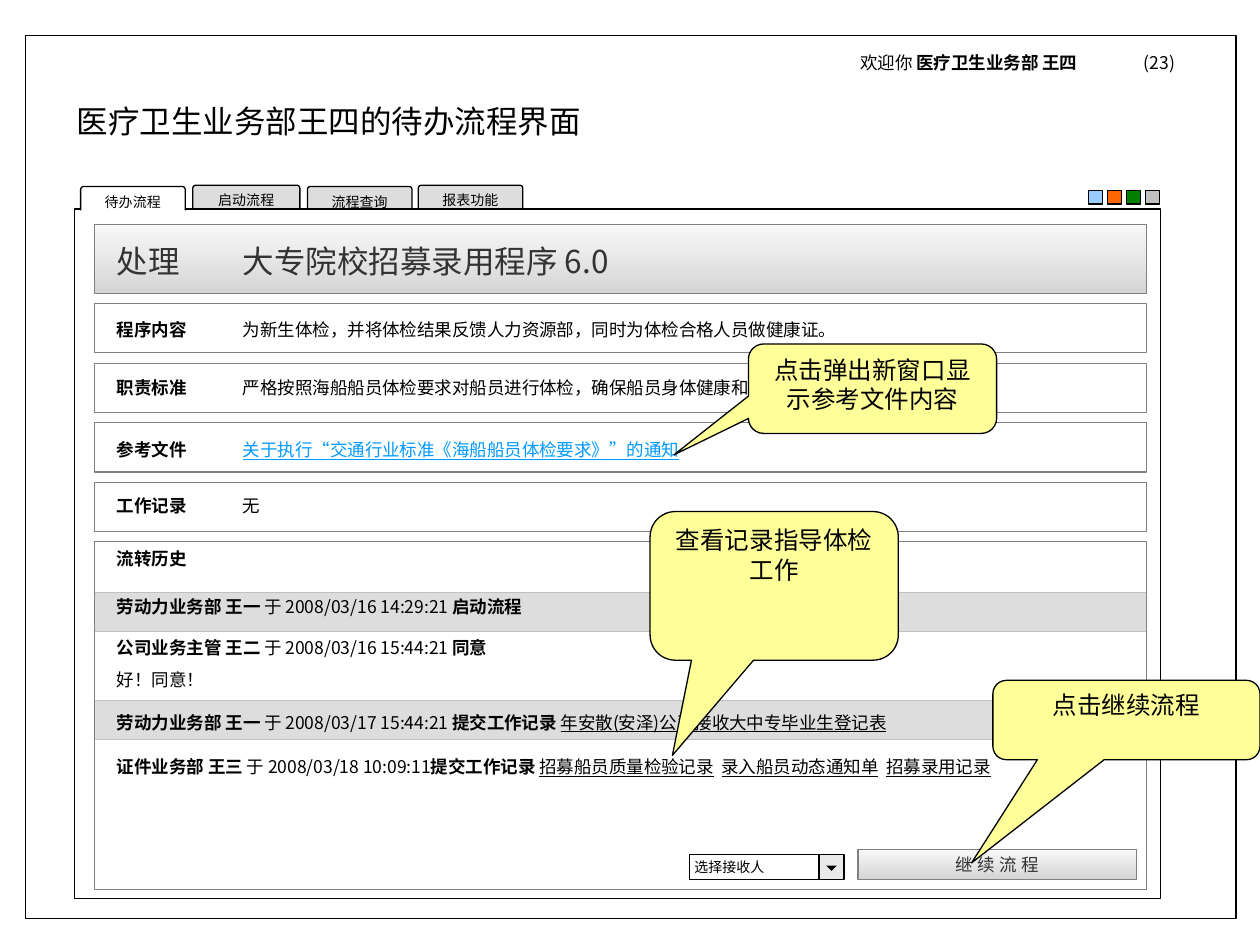
from dataclasses import dataclass

import lxml.etree
import pptx
import pptx.dml.color
import pptx.enum.shapes
import pptx.enum.text
import pptx.oxml.ns
import pptx.util

SHAPES = pptx.enum.shapes.MSO_SHAPE
ALIGN = pptx.enum.text.PP_ALIGN
ANCHOR = pptx.enum.text.MSO_ANCHOR
WIDTH = pptx.util.Inches(10)
HEIGHT = pptx.util.Inches(7.5)
COLUMN = WIDTH / 100
ROW = HEIGHT / 75
TAB = 10
PANEL_LEFT, PANEL_WIDTH = 7.5, 83.5
TEXT_LEFT, TEXT_WIDTH = 8.3, 81.1


@dataclass(frozen=True)
class Theme:
    font: str = "Noto Sans CJK SC"
    note_font: str = "Arial"
    field_font: str = "Cabin"
    black: str = "000000"
    white: str = "FFFFFF"
    heading: str = "333333"
    link: str = "0099FF"
    border: str = "808080"
    band: str = "DDDDDD"
    silver: str = "C0C0C0"
    arrow_box: str = "EAEAEA"
    note: str = "FFFF99"
    gradient: tuple = ("F8F8F8", "D5D5D5")
    swatches: tuple = ("99CCFF", "FF6600", "008000", "C0C0C0")
    title_size: float = 18
    note_size: float = 14
    body_size: float = 10
    small_size: float = 8
    line_width: float = 0.75
    paragraph_gap: float = 6.2


THEME = Theme()


def color(value):
    return pptx.dml.color.RGBColor.from_string(value)


def place(column, row, columns, rows):
    return [round(column * COLUMN), round(row * ROW), round(columns * COLUMN), round(rows * ROW)]


def add_box(slide, area, fill=THEME.white, line=THEME.black, kind=SHAPES.RECTANGLE):
    shape = slide.shapes.add_shape(kind, *place(*area))
    shape.shadow.inherit = False
    if fill is None:
        shape.fill.background()
    elif isinstance(fill, tuple):
        shape.fill.gradient()
        shape.fill.gradient_angle = 270
        for stop, value in zip(shape.fill.gradient_stops, fill):
            stop.color.rgb = color(value)
    else:
        shape.fill.solid()
        shape.fill.fore_color.rgb = color(fill)
    if line is None:
        shape.line.fill.background()
    else:
        shape.line.color.rgb = color(line)
        shape.line.width = pptx.util.Pt(THEME.line_width)
    return shape


def format_run(run, size, font, value, style=""):
    run.font.size = pptx.util.Pt(size)
    run.font.bold = style == "bold"
    run.font.underline = style in ("link", "underline")
    run.font.color.rgb = color(THEME.link if style == "link" else value)
    run.font.name = font
    properties = run.font._element
    lxml.etree.SubElement(properties, pptx.oxml.ns.qn("a:ea"), typeface=font)


def add_tab(paragraph, columns):
    properties = paragraph._p.get_or_add_pPr()
    tabs = lxml.etree.SubElement(properties, pptx.oxml.ns.qn("a:tabLst"))
    lxml.etree.SubElement(tabs, pptx.oxml.ns.qn("a:tab"), pos=str(round(columns * COLUMN)), algn="l")


def label(shape, text, size, font=THEME.font, value=THEME.black,
          align=ALIGN.CENTER, anchor=ANCHOR.MIDDLE, wrap=False):
    frame = shape.text_frame
    frame.text = text
    frame.word_wrap = wrap
    frame.vertical_anchor = anchor
    paragraph = frame.paragraphs[0]
    paragraph.alignment = align
    format_run(paragraph.runs[0], size, font, value)


def add_text(slide, area, *lines, size=THEME.body_size, value=THEME.black,
             gap=THEME.paragraph_gap, tab=TAB):
    frame = slide.shapes.add_textbox(*place(*area)).text_frame
    frame.word_wrap = True
    for index, pieces in enumerate(lines):
        paragraph = frame.add_paragraph() if index else frame.paragraphs[0]
        if index:
            paragraph.space_before = pptx.util.Pt(gap)
        if any("\t" in text for text, style in pieces):
            add_tab(paragraph, tab)
        for text, style in pieces:
            run = paragraph.add_run()
            run.text = text
            format_run(run, size, THEME.font, value, style)


def add_title(slide, text):
    title = slide.shapes.title
    title.left, title.top, title.width, title.height = place(5.1, 7.6, 49.6, 4)
    label(title, text, THEME.title_size, align=ALIGN.LEFT, anchor=ANCHOR.TOP, wrap=True)
    title.text_frame.auto_size = pptx.enum.text.MSO_AUTO_SIZE.NONE
    title.element.getparent().append(title.element)


def add_page_tab(slide, text, column, row, columns, fill=THEME.band):
    shape = add_box(slide, (column, row, columns, 2.4), fill, kind=SHAPES.ROUNDED_RECTANGLE)
    shape.adjustments[0] = 0.1
    label(shape, text, THEME.small_size)
    add_box(slide, (column - 0.4, row + 1.9, columns + 0.8, 0.8), line=None)


def add_panel(slide, row, rows, fill=THEME.white, line=THEME.border):
    return add_box(slide, (PANEL_LEFT, row, PANEL_WIDTH, rows), fill, line)


def add_details(slide):
    details = [
        ("程序内容", "为新生体检，并将体检结果反馈人力资源部，同时为体检合格人员做健康证。", "", 0.7),
        ("职责标准", "严格按照海船船员体检要求对船员进行体检，确保船员身体健康和船员安全运输生产。", "", 0.6),
        ("参考文件", "关于执行“交通行业标准《海船船员体检要求》”的通知", "link", 0.8),
        ("工作记录", "无", "", 0.5),
    ]
    for index, (name, text, style, inset) in enumerate(details):
        row = 24.1 + 4.73 * index
        add_panel(slide, row, 3.9)
        add_text(slide, (TEXT_LEFT, row + inset, TEXT_WIDTH, 2.7),
                 [(name + "\t", "bold"), (text, style)])


def add_history(slide):
    for row in (47, 55.6):
        add_panel(slide, row, 3.1, THEME.band, THEME.silver)
    add_panel(slide, 43, 27.6, None)
    add_text(slide, (TEXT_LEFT, 43, TEXT_WIDTH, 6.9),
             [("流转历史", "bold")],
             [("劳动力业务部 王一 ", "bold"), ("于 2008/03/16 14:29:21 ", ""), ("启动流程", "bold")],
             gap=15.5)
    add_text(slide, (TEXT_LEFT, 50.1, TEXT_WIDTH, 5.2),
             [("公司业务主管 王二", "bold"), (" 于 2008/03/16 15:44:21 ", ""), ("同意", "bold")],
             [("好！同意！", "")])
    add_text(slide, (TEXT_LEFT, 56, TEXT_WIDTH, 2.7),
             [("劳动力业务部 王一", "bold"), (" 于 2008/03/17 15:44:21 ", ""),
              ("提交工作记录 ", "bold"), ("年安散(安泽)公司接收大中专毕业生登记表", "underline")])
    add_text(slide, (TEXT_LEFT, 59.5, TEXT_WIDTH, 2.7),
             [("证件业务部 王三", "bold"), (" 于 2008/03/18 10:09:11", ""),
              ("提交工作记录 ", "bold"), ("招募船员质量检验记录", "underline"), ("  ", ""),
              ("录入船员动态通知单", "underline"), ("  ", ""), ("招募录用记录", "underline")])


def add_receiver_picker(slide):
    field = add_box(slide, (54.7, 67.8, 12.2, 2))
    label(field, "选择接收人", THEME.small_size, THEME.field_font, align=ALIGN.LEFT, wrap=True)
    frame = field.text_frame
    frame.margin_left = frame.margin_right = round(0.4 * COLUMN)
    frame.margin_top = frame.margin_bottom = 0
    add_box(slide, (65, 67.8, 2, 2), THEME.arrow_box)
    arrow = add_box(slide, (65.7, 68.4, 0.6, 0.6), THEME.black, None, SHAPES.RIGHT_TRIANGLE)
    arrow.rotation = 315


def add_callout(slide, text, area, tip):
    shape = add_box(slide, area, THEME.note, kind=SHAPES.ROUNDED_RECTANGULAR_CALLOUT)
    for index, value in enumerate((*tip, 0.17)):
        shape.adjustments[index] = value
    label(shape, text, THEME.note_size, THEME.note_font, anchor=ANCHOR.TOP, wrap=True)


def main():
    presentation = pptx.Presentation()
    presentation.slide_width, presentation.slide_height = WIDTH, HEIGHT
    slide = presentation.slides.add_slide(presentation.slide_layouts[5])
    add_box(slide, (2, 2.8, 96.1, 70.1))
    add_title(slide, "医疗卫生业务部王四的待办流程界面")
    add_text(slide, (67.3, 3.6, 32, 2.7),
             [("欢迎你 ", ""), ("医疗卫生业务部 王四\t", "bold"), ("(23)", "")], tab=22.5)
    add_page_tab(slide, "报表功能", 33.2, 14.7, 8.3)
    add_page_tab(slide, "启动流程", 15.3, 14.7, 8.5)
    add_page_tab(slide, "流程查询", 24.4, 14.8, 8.3)
    add_box(slide, (5.9, 16.6, 86.2, 54.7))
    add_page_tab(slide, "待办流程", 6.4, 14.8, 8.3, THEME.white)
    for index, swatch in enumerate(THEME.swatches):
        add_box(slide, (86.4 + 1.5 * index, 15.1, 1.1, 1.1), swatch)
    add_panel(slide, 17.8, 5.5, THEME.gradient)
    add_text(slide, (TEXT_LEFT, 18.7, 47.3, 4), [("处理\t大专院校招募录用程序 6.0", "")],
             size=THEME.title_size, value=THEME.heading)
    add_details(slide)
    add_history(slide)
    add_receiver_picker(slide)
    button = add_box(slide, (68.1, 67.4, 22.1, 2.4), THEME.gradient, THEME.border)
    label(button, "继 续 流 程", THEME.body_size, THEME.note_font, THEME.heading)
    add_callout(slide, "查看记录指导体检工作", (51.6, 40.6, 19.7, 11.8), (-0.41, 1.14))
    add_callout(slide, "点击继续流程", (78.8, 54, 21.2, 6.3), (-0.58, 1.8))
    add_callout(slide, "点击弹出新窗口显示参考文件内容", (59.4, 27.3, 19.7, 7.1), (-0.8, 0.74))
    presentation.save("out.pptx")


if __name__ == "__main__":
    main()
